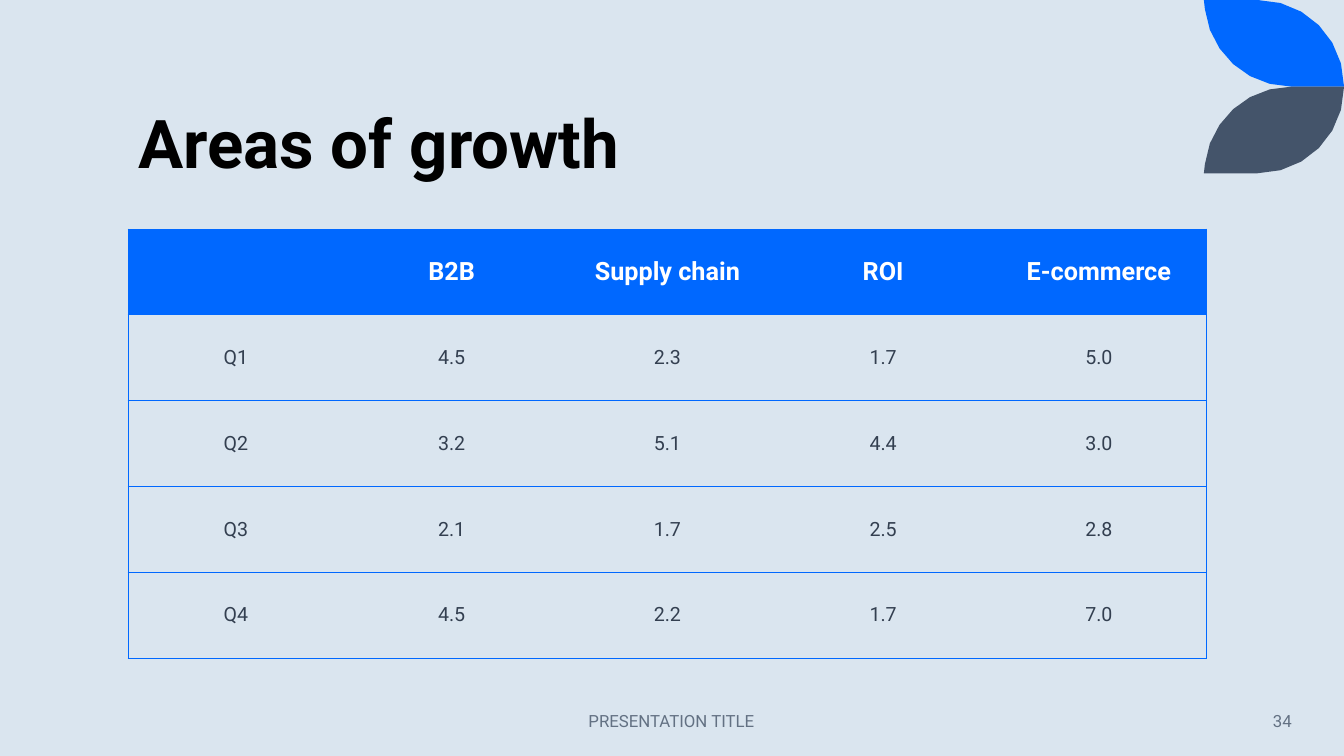
import pptx
import pptx.util
import pptx.dml.color
import pptx.enum.text
import pptx.oxml.ns
import lxml.etree

Inches = pptx.util.Inches
ALIGN = pptx.enum.text.PP_ALIGN
ANCHOR = pptx.enum.text.MSO_ANCHOR

# Content
TITLE = "Areas of growth"
GROWTH = [
    ("", "B2B", "Supply chain", "ROI", "E-commerce"),
    ("Q1", "4.5", "2.3", "1.7", "5.0"),
    ("Q2", "3.2", "5.1", "4.4", "3.0"),
    ("Q3", "2.1", "1.7", "2.5", "2.8"),
    ("Q4", "4.5", "2.2", "1.7", "7.0"),
]
FOOTERS = [
    ("PRESENTATION TITLE", (4.41, 6.95, 4.5, 0.4), ALIGN.CENTER),
    ("34", (11.1, 6.95, 1.81, 0.4), ALIGN.RIGHT),
]

# Look
COLORS = {"back": "DAE5EF", "blue": "0068FF", "slate": "44546A", "title": "000000",
          "head": "FFFFFF", "body": "333F50", "footer": "637183"}
TITLE_FONT = {"size": 48, "bold": True, "color": "title"}
HEAD_FONT = {"size": 18, "bold": True, "color": "head"}
BODY_FONT = {"size": 14, "bold": False, "color": "body"}
FOOTER_FONT = {"size": 12, "bold": False, "color": "footer"}
TITLE_BOX = (1.27, 0.15, 10.69, 1.72)
TABLE_BOX = (1.27, 2.27, 10.7, 4.26)
BORDER_WIDTH = 0.5

# Leaf outline: two curves (start, two controls, end) joined by straight edges
LEAF_CURVES = [
    ((12.47, 0), (12.95, 0), (13.33, 0.38), (13.33, 0.86)),
    ((12.81, 0.86), (12.36, 0.86), (12, 0.52), (11.95, 0.09)),
]
LEAF_CORNER = (11.94, 0)
LEAF_PAIR_HEIGHT = 1.72
CURVE_STEPS = 6


def rgb(name):
    return pptx.dml.color.RGBColor.from_string(COLORS[name])


def write(tf, text, look, align):
    tf.word_wrap = True
    p = tf.paragraphs[0]
    p.alignment = align
    r = p.add_run()
    r.text = text
    r.font.name = "Roboto"
    r.font.color.rgb = rgb(look["color"])
    for name, value in {"size": pptx.util.Pt(look["size"]), "bold": look["bold"]}.items():
        setattr(r.font, name, value)
    return p


def curve_point(curve, t):
    weights = ((1 - t) ** 3, 3 * t * (1 - t) ** 2, 3 * t ** 2 * (1 - t), t ** 3)
    return tuple(sum(w * point[axis] for w, point in zip(weights, curve)) for axis in (0, 1))


def add_leaf(s, color, flipped):
    points = [LEAF_CORNER] + [curve_point(curve, i / CURVE_STEPS)
                              for curve in LEAF_CURVES for i in range(CURVE_STEPS + 1)]
    if flipped:
        points = [(x, LEAF_PAIR_HEIGHT - y) for x, y in points]
    points = [(Inches(x), Inches(y)) for x, y in points]
    builder = s.shapes.build_freeform(*points[0], scale=1.0)
    builder.add_line_segments(points[1:], close=True)
    sp = builder.convert_to_shape()
    sp.shadow.inherit = False
    sp.fill.solid()
    sp.fill.fore_color.rgb = rgb(color)
    sp.line.fill.background()


def set_borders(cell, visible):
    qn = pptx.oxml.ns.qn
    props = cell._tc.get_or_add_tcPr()
    for i, side in enumerate("LRTB"):
        ln = lxml.etree.Element(qn("a:ln" + side), w=str(pptx.util.Pt(BORDER_WIDTH)))
        if side in visible:
            fill = lxml.etree.SubElement(ln, qn("a:solidFill"))
            lxml.etree.SubElement(fill, qn("a:srgbClr"), val=COLORS["blue"])
        else:
            lxml.etree.SubElement(ln, qn("a:noFill"))
        props.insert(i, ln)


def add_growth_table(s):
    rows, cols = len(GROWTH), len(GROWTH[0])
    left, top, width, height = TABLE_BOX
    table = s.shapes.add_table(rows, cols, *map(Inches, TABLE_BOX)).table
    table.first_row = table.horz_banding = False
    for col in table.columns:
        col.width = Inches(width / cols)
    for i, values in enumerate(GROWTH):
        table.rows[i].height = Inches(height / rows)
        for j, value in enumerate(values):
            cell = table.cell(i, j)
            cell.vertical_anchor = ANCHOR.MIDDLE
            if i == 0:
                cell.fill.solid()
                cell.fill.fore_color.rgb = rgb("blue")
            else:
                cell.fill.background()
            if value:
                write(cell.text_frame, value, BODY_FONT if i else HEAD_FONT, ALIGN.CENTER)
            # Horizontal rules everywhere, vertical ones on the outer edges only
            set_borders(cell, "TB" + "L" * (j == 0) + "R" * (j == cols - 1))


def main():
    prs = pptx.Presentation()
    prs.slide_width, prs.slide_height = Inches(13.33), Inches(7.5)
    s = prs.slides.add_slide(prs.slide_layouts[5])
    s.background.fill.solid()
    s.background.fill.fore_color.rgb = rgb("back")

    # Corner leaves
    add_leaf(s, "blue", False)
    add_leaf(s, "slate", True)

    # Title
    title = s.shapes.title
    title.left, title.top, title.width, title.height = map(Inches, TITLE_BOX)
    title.text_frame.vertical_anchor = ANCHOR.BOTTOM
    title.text_frame.auto_size = pptx.enum.text.MSO_AUTO_SIZE.NONE
    write(title.text_frame, TITLE, TITLE_FONT, ALIGN.LEFT).line_spacing = 0.9

    # Table
    add_growth_table(s)

    # Footer
    for text, box, align in FOOTERS:
        tf = s.shapes.add_textbox(*map(Inches, box)).text_frame
        tf.vertical_anchor = ANCHOR.MIDDLE
        write(tf, text, FOOTER_FONT, align)

    prs.save("out.pptx")


if __name__ == "__main__":
    main()
